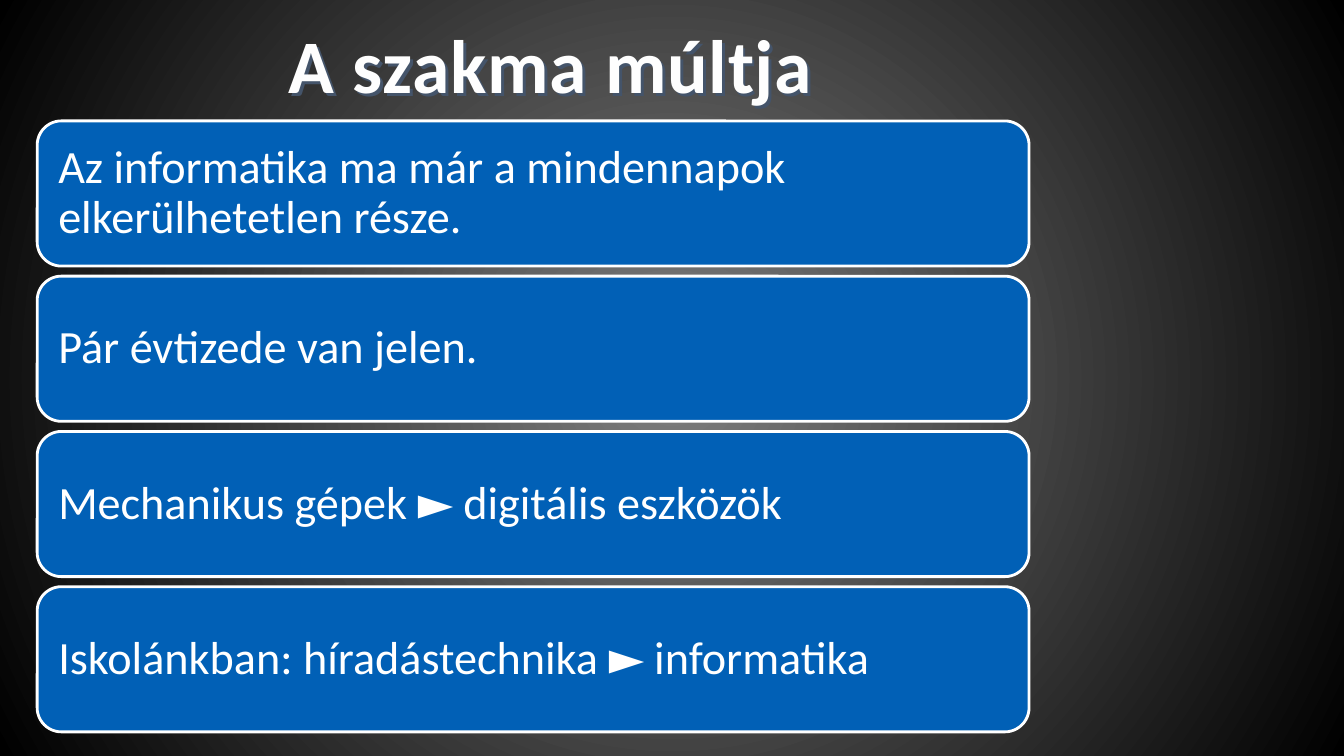
from lxml import etree
from pptx import Presentation
from pptx.dml.color import RGBColor
from pptx.enum.shapes import MSO_SHAPE
from pptx.enum.text import MSO_ANCHOR, PP_ALIGN
from pptx.oxml.ns import qn
from pptx.util import Pt

ROUNDED = MSO_SHAPE.ROUNDED_RECTANGLE
MIDDLE = MSO_ANCHOR.MIDDLE
LEFT, CENTER = PP_ALIGN.LEFT, PP_ALIGN.CENTER

BLUE, WHITE, SHADOW = "0160B6", "FFFFFF", "44546A"
STATEMENTS = [
    "Az informatika ma már a mindennapok elkerülhetetlen része.",
    "Pár évtizede van jelen.",
    "Mechanikus gépek ► digitális eszközök",
    "Iskolánkban: híradástechnika ► informatika",
]
PANEL_LEFT, PANEL_TOP = 26.6, 86.4
PANEL_WIDTH, PANEL_HEIGHT = 708.5, 103.7
PANEL_PITCH = 110.9


def color(hex_code):
    return RGBColor.from_string(hex_code)


def write(holder, text, size, hex_code=WHITE, bold=False, align=LEFT,
          line_spacing=1.0, inset_x=7.2, inset_y=3.6):
    frame = holder.text_frame
    frame.word_wrap = True
    frame.vertical_anchor = MIDDLE
    frame.margin_left = frame.margin_right = Pt(inset_x)
    frame.margin_top = frame.margin_bottom = Pt(inset_y)
    paragraph = frame.paragraphs[0]
    paragraph.alignment = align
    paragraph.line_spacing = line_spacing
    run = paragraph.add_run()
    run.text = text
    run.font.name = "Calibri"
    run.font.size = Pt(size)
    run.font.bold = bold
    run.font.color.rgb = color(hex_code)
    return run


def paint_background(slide, center, edge):
    fill = slide.background.fill
    fill.gradient()
    for stop, hex_code in zip(fill.gradient_stops, (center, edge)):
        stop.color.rgb = color(hex_code)
    gradient = slide.element.find(".//" + qn("a:gradFill"))
    linear = gradient.find(qn("a:lin"))
    circle = etree.Element(qn("a:path"), path="circle")
    middle = dict.fromkeys("ltrb", "50000")
    etree.SubElement(circle, qn("a:fillToRect"), middle)
    gradient.replace(linear, circle)


def cast_shadow(shape, hex_code, distance):
    effects = etree.SubElement(shape.element.spPr, qn("a:effectLst"))
    shadow = etree.SubElement(effects, qn("a:outerShdw"), blurRad="0",
                              dist=str(Pt(distance)), dir="2700000")
    etree.SubElement(shadow, qn("a:srgbClr"), val=hex_code)


def add_title(slide, text):
    title = slide.shapes.add_textbox(Pt(94.3), Pt(0), Pt(598.3), Pt(90))
    run = write(title, text, 54, "FEFEFE", bold=True, align=CENTER)
    run.font._element.set("spc", "50")
    cast_shadow(title, SHADOW, 3)


def add_panel(slide, text, top):
    panel = slide.shapes.add_shape(ROUNDED, Pt(PANEL_LEFT), Pt(top),
                                   Pt(PANEL_WIDTH), Pt(PANEL_HEIGHT))
    panel.shadow.inherit = False
    panel.fill.solid()
    panel.fill.fore_color.rgb = color(BLUE)
    panel.line.color.rgb = color(WHITE)
    panel.line.width = Pt(2)
    write(panel, text, 33, line_spacing=0.9, inset_x=10, inset_y=10)


def main():
    deck = Presentation()
    deck.slide_width, deck.slide_height = Pt(960), Pt(540)
    slide = deck.slides.add_slide(deck.slide_layouts[6])
    paint_background(slide, "7F7F7F", "000000")
    add_title(slide, "A szakma múltja")
    for row, statement in enumerate(STATEMENTS):
        add_panel(slide, statement, PANEL_TOP + row * PANEL_PITCH)
    deck.save("out.pptx")


if __name__ == "__main__":
    main()
